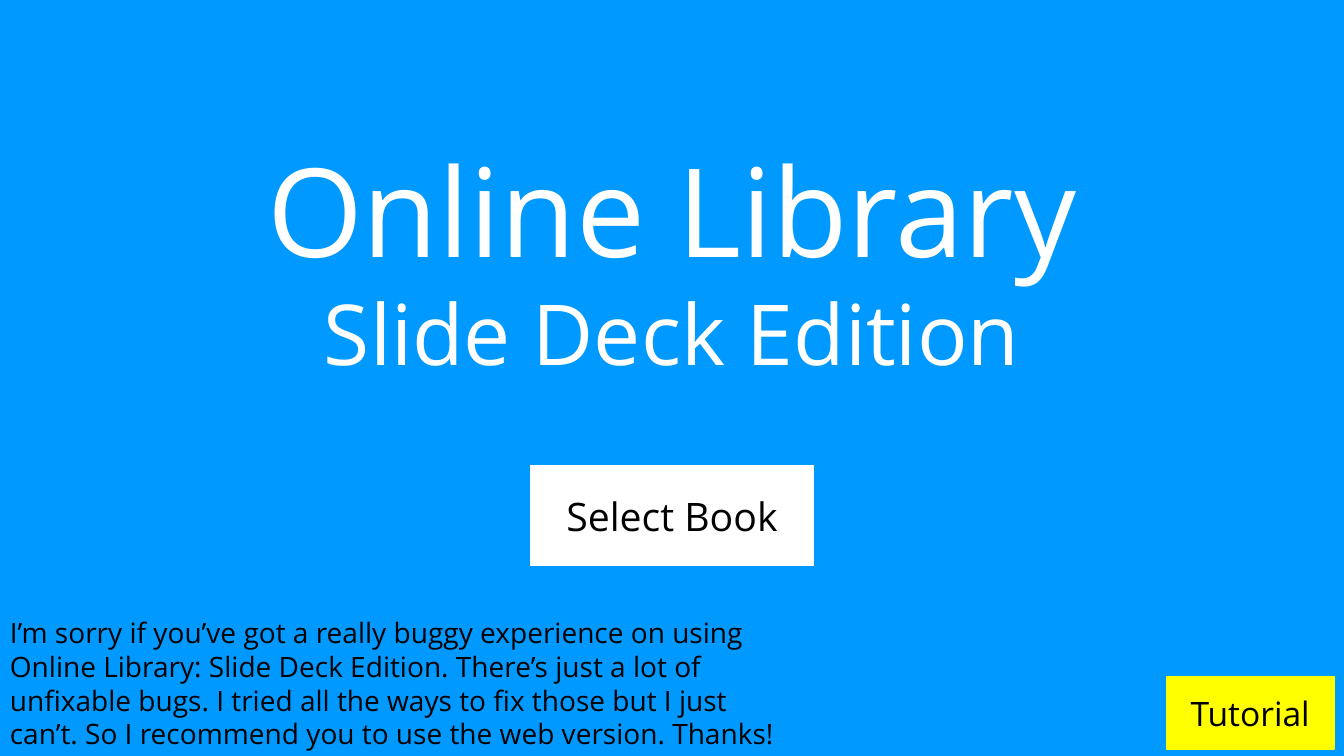
from pptx import Presentation
from pptx.dml.color import RGBColor
from pptx.enum.shapes import MSO_SHAPE
from pptx.enum.text import MSO_ANCHOR, PP_ALIGN
from pptx.util import Inches, Pt

RECTANGLE = MSO_SHAPE.RECTANGLE
TOP, MIDDLE = MSO_ANCHOR.TOP, MSO_ANCHOR.MIDDLE
LEFT, CENTER = PP_ALIGN.LEFT, PP_ALIGN.CENTER

WIDTH, HEIGHT = 13.33, 7.5
TITLE_ONLY = 5
FONT = "Open Sans"
BLUE, WHITE, YELLOW, BLACK = "0099FF", "FFFFFF", "FFFF00", "000000"

HEADING = ["Online Library", "Slide Deck Edition"]
HEADING_SIZES = [88, 60]
HEADING_BOX = ((WIDTH - 10.28) / 2, 1.28, 10.28, 2.59)

# label, size, fill, (left, top, width, height)
BUTTONS = [
    ("Select Book", 28, WHITE, ((WIDTH - 2.81) / 2, 4.62, 2.81, 0.99)),
    ("Tutorial", 24, YELLOW, (WIDTH - 0.1 - 1.66, 6.71, 1.66, 0.72)),
]

APOLOGY = [
    "I’m sorry if you’ve got a really buggy experience on using",
    "Online Library: Slide Deck Edition. There’s just a lot of",
    "unfixable bugs. I tried all the ways to fix those but I just",
    "can’t. So I recommend you to use the web version. Thanks!",
]
APOLOGY_BOX = (0, 6.06, 12.6, 1.45)


def color(hex_code):
    """Turn a hex string into a colour."""
    return RGBColor.from_string(hex_code)


def inches(box):
    """Turn a box in inches into lengths."""
    return [Inches(length) for length in box]


def write(shape, lines, sizes, ink, align, anchor):
    """Fill a shape with one formatted paragraph per line."""
    frame = shape.text_frame
    frame.text = "\n".join(lines)
    frame.word_wrap = True
    frame.vertical_anchor = anchor
    for paragraph, size in zip(frame.paragraphs, sizes):
        paragraph.alignment = align
        font = paragraph.runs[0].font
        font.name, font.size = FONT, Pt(size)
        font.color.rgb = color(ink)


def add_button(slide, label, size, fill, box):
    """Add a flat rectangle with a centred label."""
    button = slide.shapes.add_shape(RECTANGLE, *inches(box))
    button.shadow.inherit = False
    button.fill.solid()
    button.fill.fore_color.rgb = color(fill)
    button.line.color.rgb = color(fill)
    button.line.width = Pt(1)
    write(button, [label], [size], BLACK, CENTER, MIDDLE)


deck = Presentation()
deck.slide_width, deck.slide_height = Inches(WIDTH), Inches(HEIGHT)
slide = deck.slides.add_slide(deck.slide_layouts[TITLE_ONLY])
slide.background.fill.solid()
slide.background.fill.fore_color.rgb = color(BLUE)

heading = slide.shapes.title
heading.left, heading.top, heading.width, heading.height = inches(HEADING_BOX)
write(heading, HEADING, HEADING_SIZES, WHITE, CENTER, TOP)

for button in BUTTONS:
    add_button(slide, *button)

apology = slide.shapes.add_textbox(*inches(APOLOGY_BOX))
write(apology, APOLOGY, [20] * len(APOLOGY), BLACK, LEFT, TOP)

deck.save("out.pptx")
